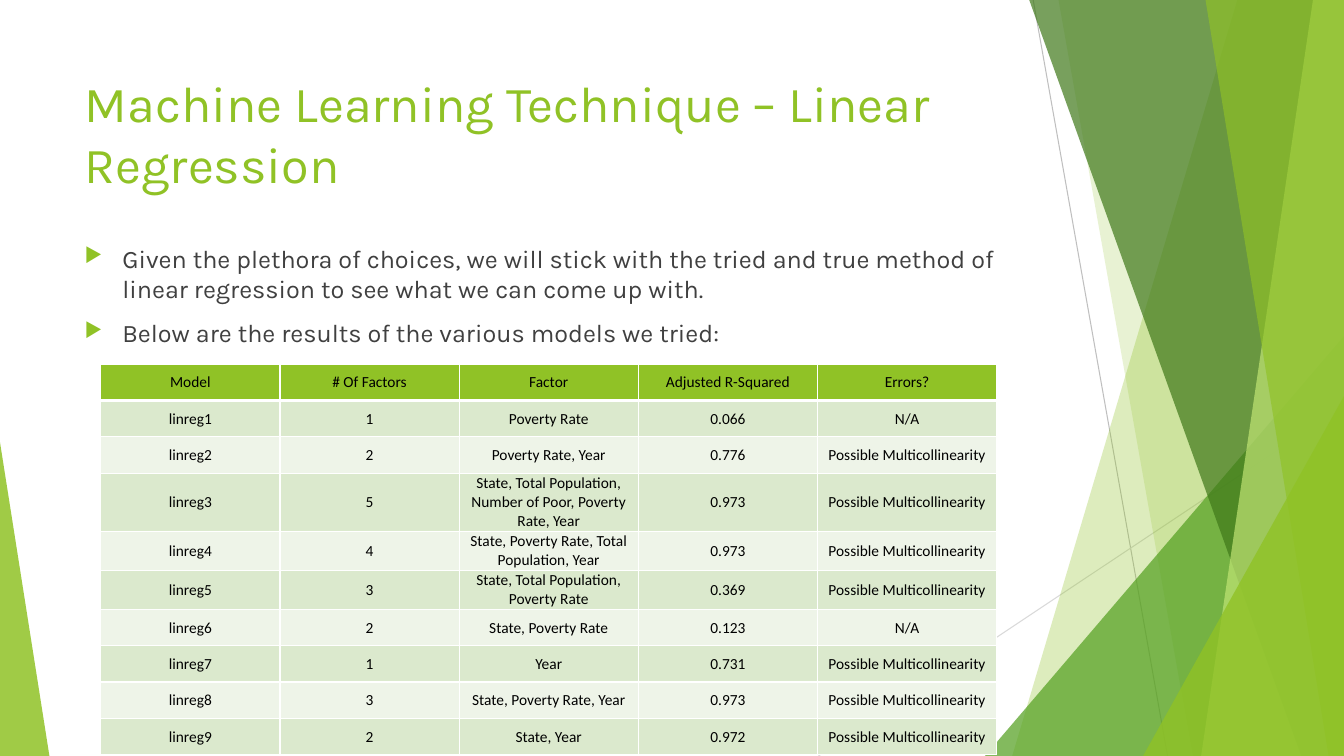
from pptx import Presentation
from pptx.dml.color import RGBColor
from pptx.enum.shapes import MSO_CONNECTOR, MSO_SHAPE
from pptx.enum.text import MSO_ANCHOR, MSO_AUTO_SIZE, PP_ALIGN
from pptx.oxml import parse_xml
from pptx.oxml.ns import nsdecls, qn
from pptx.oxml.xmlchemy import OxmlElement
from pptx.util import Pt

WIDTH, HEIGHT = 960, 540
LIME, GREEN, FOREST, PALE = "90C226", "54A021", "3F7819", "C0E474"
BANDS = ["DBE9CD", "EEF4E8"]
MULTI = "Possible Multicollinearity"
MODELS = [
    ("Model", "# Of Factors", "Factor", "Adjusted R-Squared", "Errors?"),
    ("linreg1", "1", "Poverty Rate", "0.066", "N/A"),
    ("linreg2", "2", "Poverty Rate, Year", "0.776", MULTI),
    ("linreg3", "5", "State, Total Population, Number of Poor, Poverty Rate, Year", "0.973", MULTI),
    ("linreg4", "4", "State, Poverty Rate, Total Population, Year", "0.973", MULTI),
    ("linreg5", "3", "State, Total Population, Poverty Rate", "0.369", MULTI),
    ("linreg6", "2", "State, Poverty Rate", "0.123", "N/A"),
    ("linreg7", "1", "Year", "0.731", MULTI),
    ("linreg8", "3", "State, Poverty Rate, Year", "0.973", MULTI),
    ("linreg9", "2", "State, Year", "0.972", MULTI),
]
ROW_HEIGHTS = [26, 26, 26, 40, 26.8, 26.8, 26, 26, 26, 26]
POINTS = [
    "Given the plethora of choices, we will stick with the tried and true method "
    "of linear regression to see what we can come up with.",
    "Below are the results of the various models we tried:",
]


def rgb(color):
    return RGBColor.from_string(color)


class Deck:
    """Draws the elements of the current slide in one style, in points."""

    font, table_font = "Karla", "Calibri"

    def __init__(self, prs):
        self.s = prs.slides.add_slide(prs.slide_layouts[5])

    def style(self, p, size, color, font):
        for r in p.runs:
            r.font.size, r.font.name = Pt(size), font
            r.font.color.rgb = rgb(color)

    def frame(self, tf):
        tf.word_wrap = True
        tf.auto_size = MSO_AUTO_SIZE.NONE
        tf.vertical_anchor = MSO_ANCHOR.TOP

    def line(self, x1, y1, x2, y2, color):
        sp = self.s.shapes.add_connector(MSO_CONNECTOR.STRAIGHT, Pt(x1), Pt(y1), Pt(x2), Pt(y2))
        sp.line.color.rgb, sp.line.width = rgb(color), Pt(0.75)
        sp._element.spPr.append(OxmlElement("a:effectLst"))

    def glass(self, sp, color, opacity):
        sp.shadow.inherit = False
        sp.line.fill.background()
        sp.fill.solid()
        sp.fill.fore_color.rgb = rgb(color)
        alpha = OxmlElement("a:alpha")
        alpha.set("val", str(opacity * 1000))
        next(sp._element.spPr.iter(qn("a:srgbClr"))).append(alpha)

    def shard(self, top_x, bottom_x, color, opacity):
        fb = self.s.shapes.build_freeform(Pt(top_x), Pt(-0.6))
        corners = [(WIDTH, -0.6), (WIDTH, HEIGHT), (bottom_x, HEIGHT)]
        fb.add_line_segments([(Pt(x), Pt(y)) for x, y in corners], close=True)
        self.glass(fb.convert_to_shape(), color, opacity)

    def triangle(self, x, y, w, apex, color, opacity):
        sp = self.s.shapes.add_shape(MSO_SHAPE.ISOSCELES_TRIANGLE, Pt(x), Pt(y), Pt(w), Pt(HEIGHT - y))
        sp.adjustments[0] = apex
        self.glass(sp, color, opacity)

    def title(self, text, x, y, w, h):
        sp = self.s.shapes.title
        sp.left, sp.top, sp.width, sp.height = Pt(x), Pt(y), Pt(w), Pt(h)
        tf = sp.text_frame
        tf.text = text
        self.frame(tf)
        p = tf.paragraphs[0]
        p.alignment = PP_ALIGN.LEFT
        self.style(p, 36, LIME, self.font)

    def bullets(self, texts, x, y, w, h):
        tf = self.s.shapes.add_textbox(Pt(x), Pt(y), Pt(w), Pt(h)).text_frame
        self.frame(tf)
        tf.text = "\n".join(texts)
        for p in tf.paragraphs:
            p.space_before = Pt(10)
            self.style(p, 18, "404040", self.font)
            pPr = p._p.get_or_add_pPr()
            pPr.set("marL", str(Pt(27)))
            pPr.set("indent", str(Pt(-27)))
            for xml in (
                f'<a:buClr {nsdecls("a")}><a:srgbClr val="{LIME}"/></a:buClr>',
                f'<a:buSzPct {nsdecls("a")} val="80000"/>',
                f'<a:buChar {nsdecls("a")} char="▶"/>',
            ):
                pPr.append(parse_xml(xml))

    def cell(self, cell, text, fill, top, bottom):
        cell.text = text
        cell.vertical_anchor = MSO_ANCHOR.MIDDLE
        cell.margin_left = cell.margin_right = cell.margin_top = Pt(0.7)
        cell.margin_bottom = 0
        p = cell.text_frame.paragraphs[0]
        p.alignment = PP_ALIGN.CENTER
        self.style(p, 11, "000000", self.table_font)
        tcPr = cell._tc.get_or_add_tcPr()
        for side, width in zip("LRTB", (1, 1, top, bottom)):
            tcPr.append(parse_xml(
                f'<a:ln{side} {nsdecls("a")} w="{Pt(width)}"><a:solidFill>'
                f'<a:srgbClr val="FFFFFF"/></a:solidFill></a:ln{side}>'))
        cell.fill.solid()
        cell.fill.fore_color.rgb = rgb(fill)

    def table(self, rows, heights, x, y, w):
        shape = self.s.shapes.add_table(len(rows), len(rows[0]), Pt(x), Pt(y), Pt(w), Pt(sum(heights)))
        table = shape.table
        table.first_row = table.horz_banding = False
        for col in table.columns:
            col.width = Pt(w / len(rows[0]))
        for i, (row, height) in enumerate(zip(rows, heights)):
            table.rows[i].height = Pt(height)
            fill = BANDS[(i - 1) % 2] if i else LIME
            for j, text in enumerate(row):
                self.cell(table.cell(i, j), text, fill, 3 if i == 1 else 1, 1 if i else 3)


def main():
    prs = Presentation()
    prs.slide_width, prs.slide_height = Pt(WIDTH), Pt(HEIGHT)
    deck = Deck(prs)
    deck.line(738, 0, 834, HEIGHT, "BFBFBF")
    deck.line(WIDTH, 290, 584.6, HEIGHT, "D9D9D9")
    deck.shard(884, 723, LIME, 30)
    deck.shard(756, 852, LIME, 20)
    deck.triangle(703.5, 240, 256.5, 1, GREEN, 72)
    deck.shard(735, 929.5, FOREST, 70)
    deck.shard(938, 858, PALE, 70)
    deck.shard(861, 949, LIME, 65)
    deck.triangle(816.5, 283, 143.5, 1, LIME, 80)
    deck.triangle(0, 316, 35.3, 0, LIME, 85)
    deck.title("Machine Learning Technique – Linear Regression", 53.3, 48, 677, 104)
    deck.bullets(POINTS, 53.3, 170, 677, 305.5)
    deck.table(MODELS, ROW_HEIGHTS, 72, 260, 640)
    prs.save("out.pptx")


if __name__ == "__main__":
    main()
